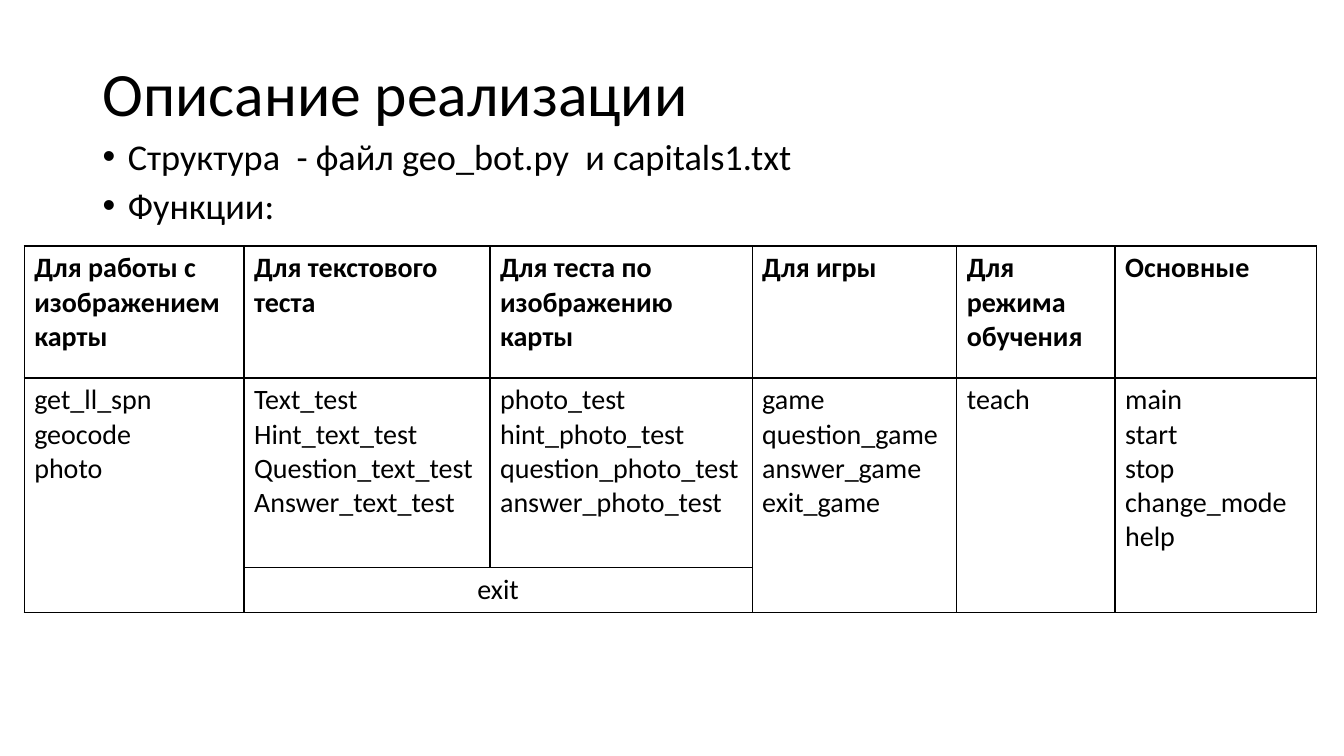
from dataclasses import dataclass

from lxml import etree
from pptx import Presentation
from pptx.dml.color import RGBColor
from pptx.enum.text import MSO_ANCHOR, PP_ALIGN
from pptx.oxml.ns import qn
from pptx.util import Inches, Pt

MIDDLE, TOP = MSO_ANCHOR.MIDDLE, MSO_ANCHOR.TOP
LEFT, CENTER = PP_ALIGN.LEFT, PP_ALIGN.CENTER


@dataclass(frozen=True)
class Theme:
    """Colours and type sizes of the slide."""
    font: str = "Calibri"
    ink: str = "000000"
    paper: str = "FFFFFF"
    title: float = 44
    body: float = 25.9
    cell: float = 20
    rule: float = 1


THEME = Theme()
WIDTH, HEIGHT = 13.33, 7.5
TITLE_BOX = (0.92, 0.23, 11.5, 1.45)
BODY_BOX = (0.92, 1.37, 11.5, 0.99)
TABLE_BOX = (0.24, 2.44, 12.82, 3.64)
COLS = (2.18, 2.44, 2.6, 2.03, 1.57, 2)
ROWS = (1.31, 1.88, 0.45)

TITLE = "Описание реализации"
POINTS = "Структура  - файл geo_bot.py  и capitals1.txt\nФункции:"
GROUPS = (
    ("Для работы с изображением карты", "get_ll_spn\ngeocode\nphoto"),
    ("Для текстового теста",
     "Text_test\nHint_text_test\nQuestion_text_test\nAnswer_text_test"),
    ("Для теста по изображению\nкарты",
     "photo_test\nhint_photo_test\nquestion_photo_test\nanswer_photo_test"),
    ("Для игры", "game\nquestion_game\nanswer_game\nexit_game"),
    ("Для режима обучения", "teach"),
    ("Основные", "main\nstart\nstop\nchange_mode\nhelp"),
)
SHARED = (1, 2)


def write(frame, text, size, bold=False, align=LEFT):
    """Fill a text frame and format its runs."""
    frame.text = text
    frame.word_wrap = True
    for para in frame.paragraphs:
        para.alignment = align
        for run in para.runs:
            run.font.name = THEME.font
            run.font.size = Pt(size)
            run.font.bold = bold
            run.font.color.rgb = RGBColor.from_string(THEME.ink)


def add_text(slide, box, text, size, anchor):
    """Place a text box and return its frame."""
    frame = slide.shapes.add_textbox(*map(Inches, box)).text_frame
    write(frame, text, size)
    frame.vertical_anchor = anchor
    return frame


def add_title(slide, box):
    """Place the slide title."""
    frame = add_text(slide, box, TITLE, THEME.title, MIDDLE)
    frame.paragraphs[0].line_spacing = 0.9


def add_points(slide, box):
    """Place the bulleted points."""
    frame = add_text(slide, box, POINTS, THEME.body, TOP)
    for para in frame.paragraphs:
        para.line_spacing = 0.8
        para.space_before = Pt(10)
        props = para._p.get_or_add_pPr()
        props.set("marL", str(Inches(0.25)))
        props.set("indent", str(-Inches(0.25)))
        etree.SubElement(props, qn("a:buFont"), typeface="Arial")
        etree.SubElement(props, qn("a:buChar"), char="•")


def frame_cell(cell):
    """Rule all four sides of a cell and clear its fill."""
    props = cell._tc.get_or_add_tcPr()
    for side in ("a:lnL", "a:lnR", "a:lnT", "a:lnB"):
        line = etree.SubElement(props, qn(side), w=str(Pt(THEME.rule)))
        fill = etree.SubElement(line, qn("a:solidFill"))
        etree.SubElement(fill, qn("a:srgbClr"), val=THEME.ink)
    cell.fill.background()


def add_grid(slide, box):
    """Place the table of functions, scaled to its box."""
    left, top, width, height = box
    table = slide.shapes.add_table(
        len(ROWS), len(COLS), *map(Inches, box)).table
    table.first_row = table.horz_banding = False
    for col, share in zip(table.columns, COLS):
        col.width = Inches(width * share / sum(COLS))
    for row, share in zip(table.rows, ROWS):
        row.height = Inches(height * share / sum(ROWS))
    for cell in table.iter_cells():
        frame_cell(cell)
    for num, (head, names) in enumerate(GROUPS):
        write(table.cell(0, num).text_frame, head, THEME.cell, bold=True)
        write(table.cell(1, num).text_frame, names, THEME.cell)
        if num not in SHARED:
            table.cell(1, num).merge(table.cell(2, num))
    first, last = SHARED
    table.cell(2, first).merge(table.cell(2, last))
    write(table.cell(2, first).text_frame, "exit", THEME.cell, align=CENTER)


def main():
    """Build and save the slide."""
    deck = Presentation()
    deck.slide_width, deck.slide_height = Inches(WIDTH), Inches(HEIGHT)
    slide = deck.slides.add_slide(deck.slide_layouts[6])
    back = slide.background.fill
    back.solid()
    back.fore_color.rgb = RGBColor.from_string(THEME.paper)
    add_title(slide, TITLE_BOX)
    add_points(slide, BODY_BOX)
    add_grid(slide, TABLE_BOX)
    deck.save("out.pptx")


if __name__ == "__main__":
    main()
